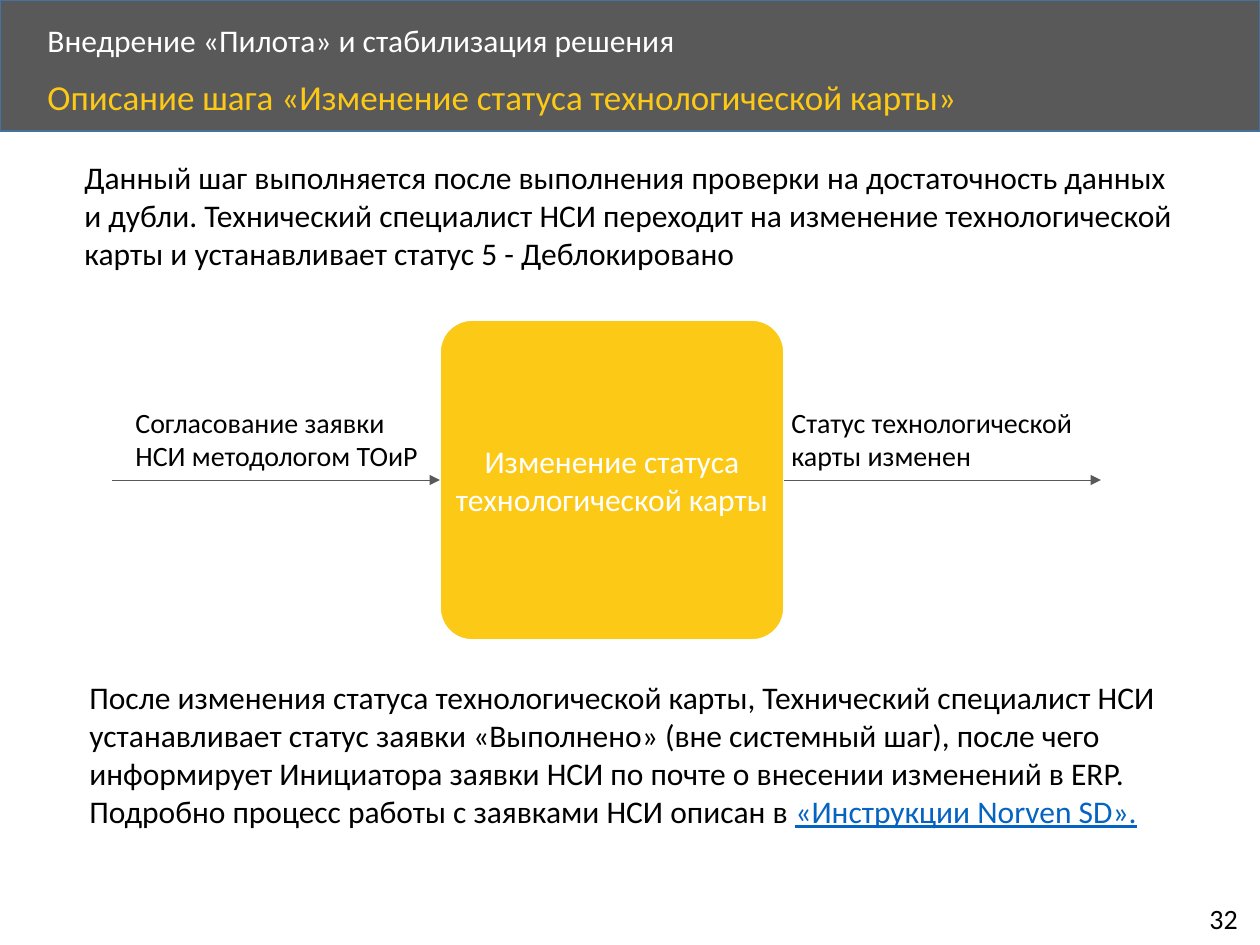
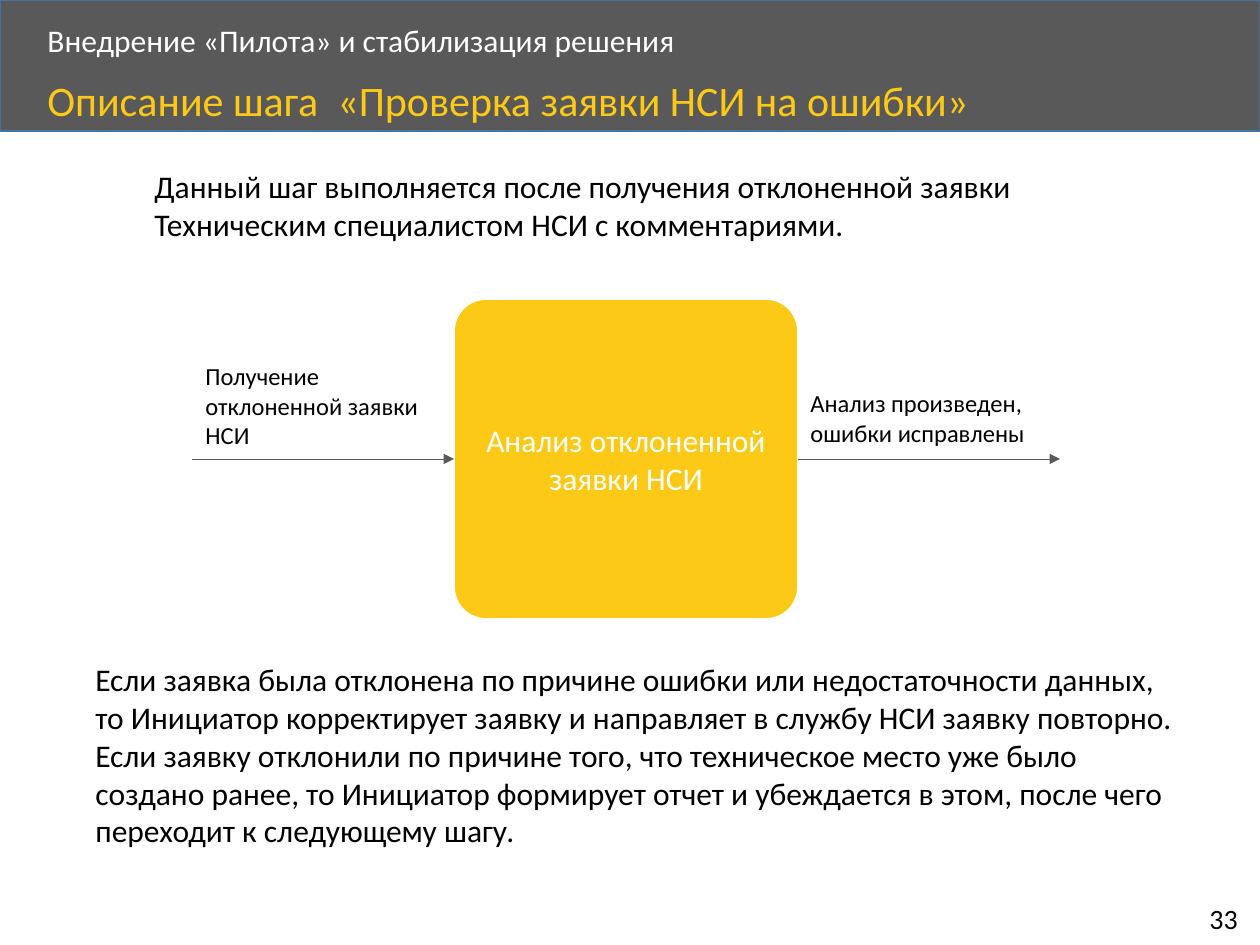
"""Build two process-step slides with a shared header band and page number."""
from lxml import etree
from pptx import Presentation, util as u
from pptx.dml.color import RGBColor
from pptx.enum import shapes, text
from pptx.oxml.ns import qn

PX = 914400 / 126
FONT = "Calibri"
GREY, YELLOW, WHITE, BLACK = "595959", "FCC917", "FFFFFF", "000000"
BAND_LINE, LINK = "43739E", "0563C1"
SECTION = "Внедрение «Пилота» и стабилизация решения"
BLOCK_W, BLOCK_H = 344, 320

STEPS = [
    {
        "number": 32,
        "title": ("Описание шага «Изменение статуса технологической карты»", 20),
        "intro": ("Данный шаг выполняется после выполнения проверки на достаточность "
                  "данных и дубли. Технический специалист НСИ переходит на изменение "
                  "технологической карты и устанавливает статус 5 - Деблокировано",
                  (72, 152, 1116, 127)),
        "block": ("Изменение статуса технологической карты", 440, 320),
        "arrow_ends": (112, 1101),
        "label_size": 16,
        "labels": [("Согласование заявки НСИ методологом ТОиР", (123, 399, 321, 81)),
                   ("Статус технологической карты изменен", (779, 399, 311, 81))],
        "outcome": ("После изменения статуса технологической карты, Технический "
                    "специалист НСИ устанавливает статус заявки «Выполнено» (вне "
                    "системный шаг), после чего информирует Инициатора заявки НСИ по "
                    "почте о внесении изменений в ERP. Подробно процесс работы "
                    "c заявками НСИ описан в ", (77, 672, 1110, 204)),
        "link": "«Инструкции Norven SD».",
    },
    {
        "number": 33,
        "title": ("Описание шага  «Проверка заявки НСИ на ошибки»", 24),
        "intro": ("Данный шаг выполняется после получения отклоненной заявки "
                  "Техническим специалистом НСИ с комментариями.",
                  (142, 161, 1004, 89)),
        "block": ("Анализ отклоненной заявки НСИ", 454, 299),
        "arrow_ends": (192, 1060),
        "label_size": 14,
        "labels": [("Получение отклоненной заявки НСИ", (193, 355, 248, 102)),
                   ("Анализ произведен, ошибки исправлены", (798, 382, 258, 72))],
        "outcome": ("Если заявка была отклонена по причине ошибки или недостаточности "
                    "данных, то Инициатор корректирует заявку и направляет в службу НСИ "
                    "заявку повторно. Если заявку отклонили по причине того, что "
                    "техническое место уже было создано ранее, то Инициатор формирует "
                    "отчет и убеждается в этом, после чего переходит к следующему шагу.",
                    (83, 654, 1115, 204)),
        "link": "",
    },
]


def px(*lengths):
    """Turn pixel lengths into EMU."""
    return [u.Emu(round(n * PX)) for n in lengths]


def rgb(color):
    """Turn a hex string into a colour."""
    return RGBColor.from_string(color)


def set_all(target, values):
    """Set attributes from a dict."""
    for name, value in values.items():
        setattr(target, name, value)


def add_run(p, words, size, color, **fmt):
    """Append a formatted run to a paragraph."""
    r = p.add_run()
    r.text = words
    set_all(r.font, {"name": FONT, "size": u.Pt(size), **fmt})
    r.font.color.rgb = rgb(color)


def add_text(s, words, box, size=18, color=BLACK, spacing=1.0,
             anchor=text.MSO_ANCHOR.TOP):
    """Add a wrapping text box and return its paragraph."""
    tf = s.shapes.add_textbox(*px(*box)).text_frame
    set_all(tf, {"word_wrap": True, "vertical_anchor": anchor})
    p = tf.paragraphs[0]
    p.line_spacing = spacing
    add_run(p, words, size, color)
    return p


def add_box(s, kind, box, fill, line):
    """Add a filled preset shape with a thin outline."""
    sp = s.shapes.add_shape(kind, *px(*box))
    sp.shadow.inherit = False
    sp.fill.solid()
    sp.fill.fore_color.rgb = rgb(fill)
    sp.line.color.rgb = rgb(line)
    sp.line.width = u.Pt(1)
    return sp


def add_arrow(s, x1, x2, y):
    """Add a horizontal arrow from x1 to x2."""
    cx = s.shapes.add_connector(shapes.MSO_CONNECTOR.STRAIGHT, *px(x1, y, x2, y))
    cx.line.color.rgb = rgb(GREY)
    cx.line.width = u.Pt(0.5)
    etree.SubElement(cx.line._get_or_add_ln(), qn("a:tailEnd"), type="triangle")
    etree.SubElement(cx._element.spPr, qn("a:effectLst"))


def add_frame(s, title, size, number):
    """Add the header band, its two headings and the page number."""
    add_box(s, shapes.MSO_SHAPE.RECTANGLE, (0, 0, 1260, 131), GREY, BAND_LINE)
    add_text(s, SECTION, (35, 18, 1017, 48), 18, WHITE, 0.9, text.MSO_ANCHOR.MIDDLE)
    add_text(s, title, (35, 74, 1092, 57), size, YELLOW, 0.9)
    add_text(s, str(number), (1197, 895, 58, 47), 16)


def add_block(s, words, x, y):
    """Add the rounded step block with centred text."""
    sp = add_box(s, shapes.MSO_SHAPE.ROUNDED_RECTANGLE, (x, y, BLOCK_W, BLOCK_H),
                 YELLOW, WHITE)
    sp.adjustments[0] = 0.1
    inset = px(2)[0]
    set_all(sp.text_frame, {"word_wrap": True, "margin_left": inset,
                            "margin_right": inset,
                            "vertical_anchor": text.MSO_ANCHOR.MIDDLE})
    p = sp.text_frame.paragraphs[0]
    p.alignment = text.PP_ALIGN.CENTER
    add_run(p, words, 18, WHITE)


def add_step(s, step):
    """Fill one slide with a process step."""
    add_frame(s, *step["title"], step["number"])
    add_text(s, *step["intro"])
    words, x, y = step["block"]
    add_block(s, words, x, y)
    start, end = step["arrow_ends"]
    middle = y + BLOCK_H // 2
    add_arrow(s, start, x, middle)
    add_arrow(s, x + BLOCK_W, end, middle)
    for label, box in step["labels"]:
        add_text(s, label, box, step["label_size"])
    p = add_text(s, *step["outcome"])
    if step["link"]:
        add_run(p, step["link"], 18, LINK, underline=True)


def main():
    """Build and save the presentation."""
    prs = Presentation()
    prs.slide_width, prs.slide_height = px(1260, 945)
    for step in STEPS:
        add_step(prs.slides.add_slide(prs.slide_layouts[6]), step)
    prs.save("out.pptx")


if __name__ == "__main__":
    main()
